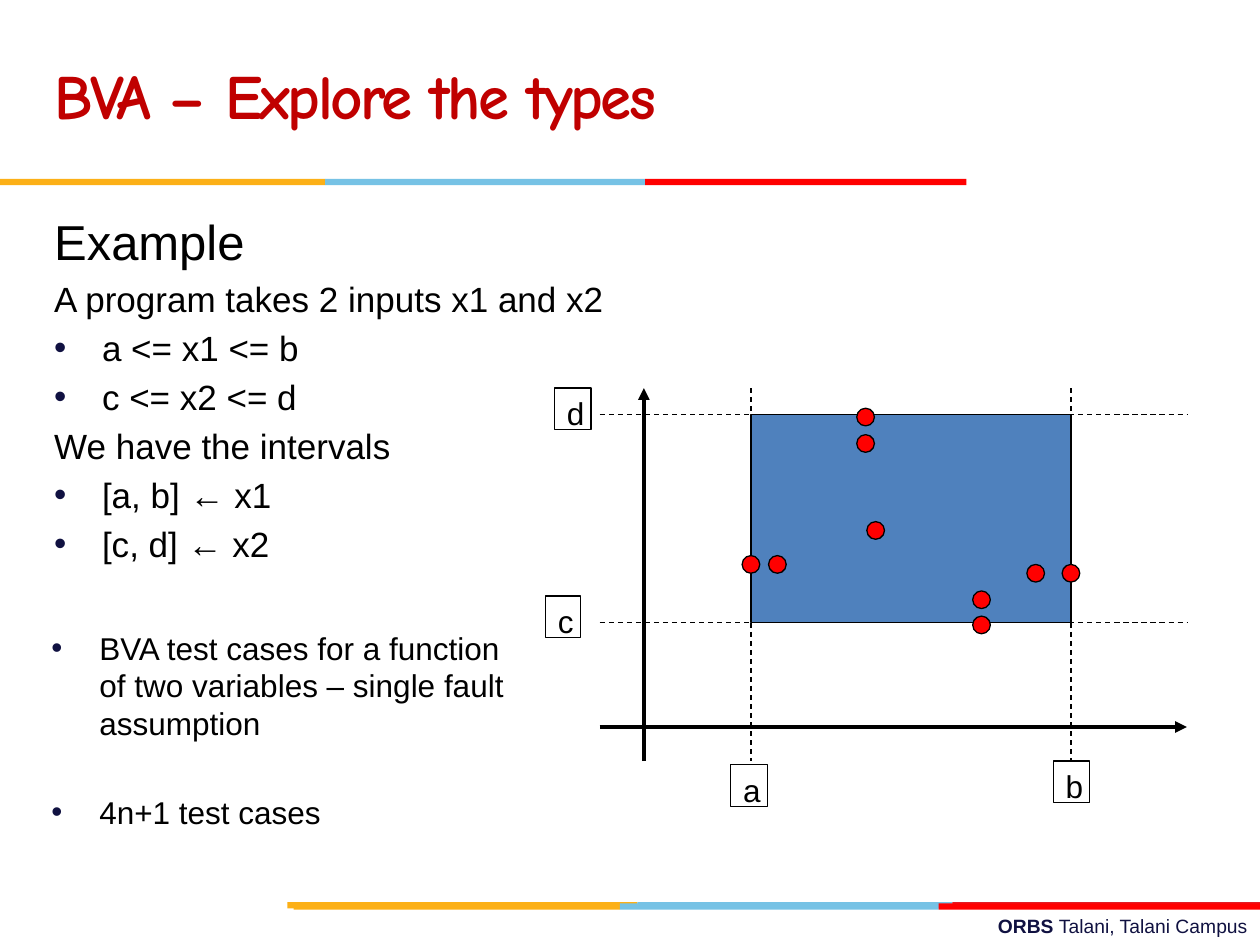
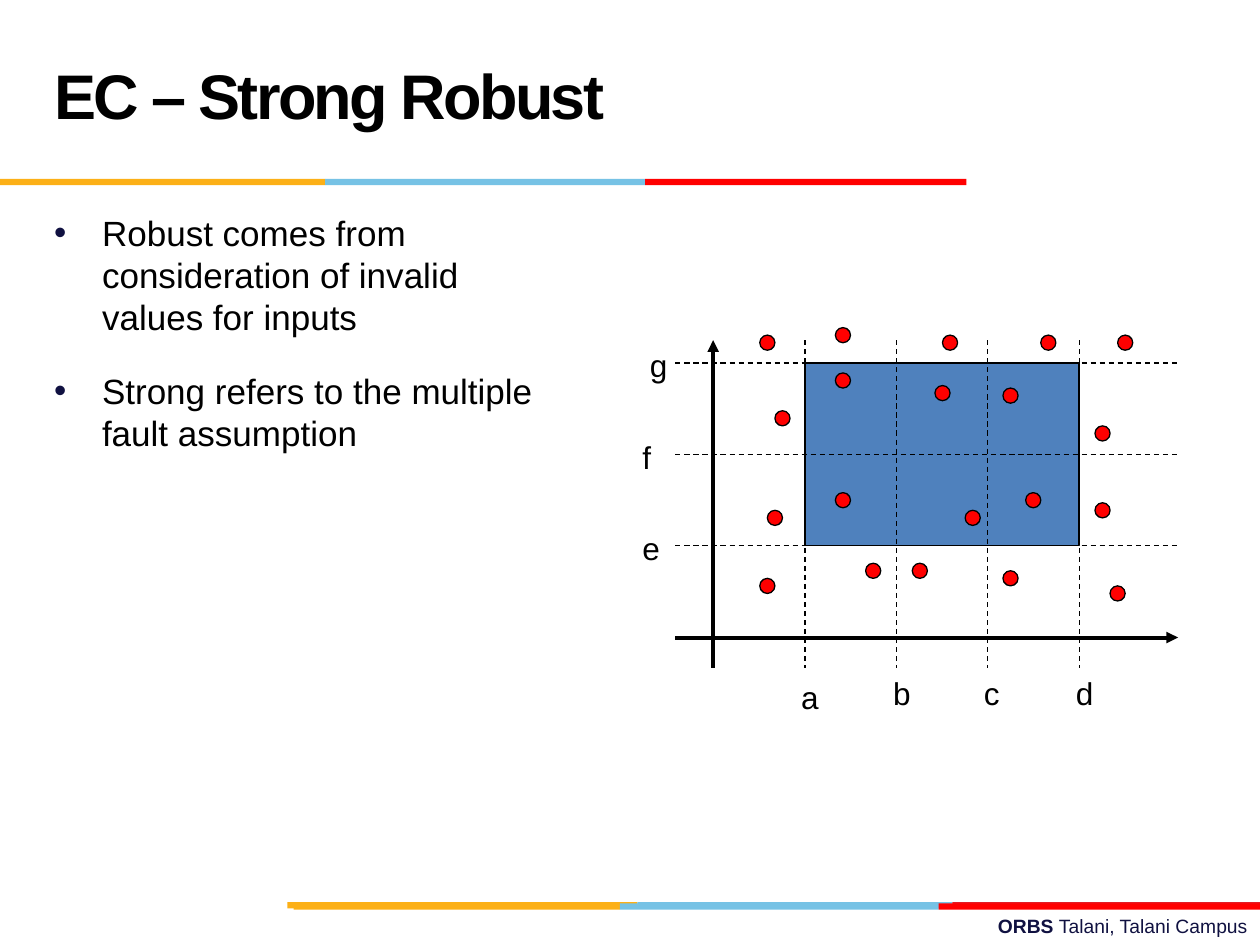
from dataclasses import dataclass
from typing import NamedTuple

import pptx
import pptx.dml.color
import pptx.enum.dml
import pptx.enum.shapes
import pptx.enum.text
import pptx.oxml.ns
import pptx.util
from lxml import etree

Inches, Pt = pptx.util.Inches, pptx.util.Pt
RGB = pptx.dml.color.RGBColor.from_string
Shapes = pptx.enum.shapes.MSO_SHAPE
Anchor = pptx.enum.text.MSO_ANCHOR
Align = pptx.enum.text.PP_ALIGN
qn = pptx.oxml.ns.qn


@dataclass(frozen=True)
class Theme:
    font: str = "Arial"
    hand_font: str = "Comic Neue"
    ink: str = "000000"
    navy: str = "101141"
    amber: str = "FCB017"
    sky: str = "76C2E5"
    red: str = "FF0000"
    brick: str = "E31C24"
    crimson: str = "C00000"
    area: str = "4F81BD"
    title: int = 36
    heading: int = 28
    body: int = 20
    note: int = 18
    footer: int = 11
    thin: float = 0.75
    thick: float = 2.25
    hanging: float = 0.38


T = Theme()


class BandRow(NamedTuple):
    """Amber, sky and red bars that meet at the given edges."""
    top: float
    edges: tuple[float, ...]
    red: str = T.red


class Item(NamedTuple):
    text: str
    bullet: bool = True
    size: int = T.body
    before: float | None = None


class Label(NamedTuple):
    text: str
    left: float
    top: float
    width: float
    height: float


@dataclass(frozen=True)
class Diagram:
    """Axes, dashed limits, the valid area between them, and test points."""
    left: float
    right: float
    top: float
    bottom: float
    axis_x: float
    axis_y: float
    xs: tuple[float, ...]
    ys: tuple[float, ...]
    labels: tuple[Label, ...]
    boxed: bool
    dot: float
    dots: tuple[tuple[float, float], ...]


BANDS = (
    BandRow(7.16, (2.28, 5.06, 7.56, 10), T.brick),
    BandRow(7.17, (2.33, 4.92, 7.45, 10)),
    BandRow(1.42, (0, 2.58, 5.12, 7.67)),
)
BAND_HEIGHT = 0.05

STEP = 0.725

BVA = Diagram(
    left=4.76, right=9.42, top=3.08, bottom=6.04, axis_x=5.11, axis_y=5.77,
    xs=(5.96, 8.5), ys=(3.29, 4.94),
    labels=(Label("a", 5.8, 6.07, 0.29, 0.33), Label("b", 8.36, 6.04, 0.29, 0.33),
            Label("c", 4.33, 4.73, 0.28, 0.33), Label("d", 4.4, 3.08, 0.29, 0.33)),
    boxed=True, dot=0.14,
    dots=((6.88, 4.14), (6.8, 3.24), (6.8, 3.45), (5.89, 4.41), (6.1, 4.41),
          (7.72, 4.89), (7.72, 4.69), (8.15, 4.48), (8.43, 4.48)),
)

STRONG_ROBUST = Diagram(
    left=5.36, right=9.35, top=2.7, bottom=5.3, axis_x=5.66, axis_y=5.06,
    xs=tuple(6.39 + STEP * i for i in range(4)),
    ys=tuple(2.88 + STEP * i for i in range(3)),
    labels=(Label("a", 6.26, 5.33, 0.25, 0.29), Label("b", 6.99, 5.3, 0.25, 0.29),
            Label("c", 7.71, 5.3, 0.25, 0.29), Label("d", 8.44, 5.3, 0.25, 0.29),
            Label("e", 5, 4.15, 0.25, 0.29), Label("f", 5, 3.43, 0.25, 0.29),
            Label("g", 5.06, 2.7, 0.25, 0.29)),
    boxed=False, dot=0.12,
    dots=((6.63, 3.91), (7.42, 3.06), (8.14, 3.91), (6.63, 2.96), (7.66, 4.05),
          (7.96, 3.08), (7.48, 2.66), (8.26, 2.66), (8.87, 2.66), (8.69, 3.38),
          (8.69, 3.99), (8.81, 4.65), (7.96, 4.53), (7.24, 4.47), (6.87, 4.47),
          (6.09, 4.05), (6.15, 3.26), (6.63, 2.6), (6.03, 2.66), (6.03, 4.59)),
)


def set_all(obj, values: dict) -> None:
    for name, value in values.items():
        setattr(obj, name, value)


def place(sp, left: float, top: float, width: float, height: float) -> None:
    set_all(sp, {"left": Inches(left), "top": Inches(top),
                 "width": Inches(width), "height": Inches(height)})


def add_run(p, text: str, size: int, color: str = T.ink, bold: bool = False,
            font: str = T.font):
    r = p.add_run()
    r.text = text
    set_all(r.font, {"name": font, "size": Pt(size), "bold": bold})
    r.font.color.rgb = RGB(color)
    return r


def add_shape(slide, kind, box: tuple, fill: str, outlined: bool = False) -> None:
    sp = slide.shapes.add_shape(kind, *map(Inches, box))
    sp.shadow.inherit = False
    sp.fill.solid()
    sp.fill.fore_color.rgb = RGB(fill)
    if outlined:
        sp.line.color.rgb = RGB(T.ink)
        sp.line.width = Pt(T.thin)
    else:
        sp.line.fill.background()


def add_line(slide, start: tuple, end: tuple, arrow: bool = False) -> None:
    """Draw a thick arrow for an axis, or a thin dashed line for a limit."""
    cx = slide.shapes.add_connector(pptx.enum.shapes.MSO_CONNECTOR.STRAIGHT,
                                    *map(Inches, start + end))
    cx.line.color.rgb = RGB(T.ink)
    cx.line.width = Pt(T.thick if arrow else T.thin)
    if arrow:
        etree.SubElement(cx.line._get_or_add_ln(), qn("a:tailEnd"), type="triangle")
    else:
        cx.line.dash_style = pptx.enum.dml.MSO_LINE.DASH
    etree.SubElement(cx._element.spPr, qn("a:effectLst"))


def add_text_box(slide, box: tuple):
    sp = slide.shapes.add_textbox(*map(Inches, box))
    sp.text_frame.word_wrap = True
    return sp


def write_items(tf, items: list[Item]) -> None:
    tf.auto_size = pptx.enum.text.MSO_AUTO_SIZE.NONE
    for i, item in enumerate(items):
        p = tf.add_paragraph() if i else tf.paragraphs[0]
        p.space_before = Pt(item.size * 0.2 if item.before is None else item.before)
        pPr = p._p.get_or_add_pPr()
        pPr.set("marL", str(Inches(T.hanging)))
        pPr.set("indent", str(-Inches(T.hanging)))
        if item.bullet:
            color = etree.SubElement(pPr, qn("a:buClr"))
            etree.SubElement(color, qn("a:srgbClr"), val=T.navy)
            etree.SubElement(pPr, qn("a:buFont"), typeface=T.font)
            etree.SubElement(pPr, qn("a:buChar"), char="•")
        else:
            etree.SubElement(pPr, qn("a:buNone"))
        add_run(p, item.text, item.size)


def add_bands_and_footer(slide) -> None:
    for row in BANDS:
        for color, left, right in zip((T.amber, T.sky, row.red), row.edges, row.edges[1:]):
            add_shape(slide, Shapes.RECTANGLE,
                      (left, row.top, right - left, BAND_HEIGHT), color)
    p = add_text_box(slide, (3.58, 7.21, 6.42, 0.29)).text_frame.paragraphs[0]
    p.alignment = Align.RIGHT
    add_run(p, "ORBS ", T.footer, T.navy, bold=True)
    add_run(p, "Talani, Talani Campus", T.footer, T.navy)


def add_slide(prs, title: str, items: list[Item], body_width: float,
              color: str = T.ink, font: str = T.font):
    slide = prs.slides.add_slide(prs.slide_layouts[1])
    add_bands_and_footer(slide)
    sp = slide.shapes.title
    place(sp, 0.33, 0.17, 6.92, 1.25)
    set_all(sp.text_frame, {"vertical_anchor": Anchor.MIDDLE, "word_wrap": True,
                            "auto_size": pptx.enum.text.MSO_AUTO_SIZE.NONE})
    p = sp.text_frame.paragraphs[0]
    set_all(p, {"alignment": Align.LEFT, "line_spacing": Pt(T.title)})
    r = add_run(p, title, T.title, color, bold=True, font=font)
    r.font._element.set("spc", "-150")
    body = slide.placeholders[1]
    place(body, 0.33, 1.63, body_width, 4.95)
    write_items(body.text_frame, items)
    return slide


def add_diagram(slide, d: Diagram) -> None:
    add_shape(slide, Shapes.RECTANGLE,
              (d.xs[0], d.ys[0], d.xs[-1] - d.xs[0], d.ys[-1] - d.ys[0]),
              T.area, outlined=True)
    add_line(slide, (d.axis_x, d.bottom), (d.axis_x, d.top), arrow=True)
    add_line(slide, (d.left, d.axis_y), (d.right, d.axis_y), arrow=True)
    for x in d.xs:
        add_line(slide, (x, d.top), (x, d.bottom))
    for y in d.ys:
        add_line(slide, (d.left, y), (d.right, y))
    for text, *box in d.labels:
        sp = add_text_box(slide, tuple(box))
        set_all(sp.text_frame, {"margin_right": 0, "margin_bottom": 0})
        add_run(sp.text_frame.paragraphs[0], text, T.note)
        if d.boxed:
            sp.line.color.rgb = RGB(T.ink)
            sp.line.width = Pt(T.thin)
    for x, y in d.dots:
        add_shape(slide, Shapes.OVAL, (x, y, d.dot, d.dot), T.red, outlined=True)


def main() -> None:
    prs = pptx.Presentation()
    set_all(prs, {"slide_width": Inches(10), "slide_height": Inches(7.5)})

    slide = add_slide(prs, "BVA – Explore the types", [
        Item("Example", bullet=False, size=T.heading),
        Item("A program takes 2 inputs x1 and x2", bullet=False),
        Item("a <= x1 <= b"),
        Item("c <= x2 <= d"),
        Item("We have the intervals", bullet=False),
        Item("[a, b] ← x1"),
        Item("[c, d] ← x2"),
    ], body_width=9, color=T.crimson, font=T.hand_font)
    add_diagram(slide, BVA)
    cases = add_text_box(slide, (0.31, 4.94, 3.82, 2.14))
    write_items(cases.text_frame, [
        Item("BVA test cases for a function of two variables – single fault assumption",
             size=T.note),
        Item("4n+1 test cases", size=T.note, before=29),
    ])

    slide = add_slide(prs, "EC – Strong Robust", [
        Item("Robust comes from consideration of invalid values for inputs", before=18),
        Item("Strong refers to the multiple fault assumption", before=18),
    ], body_width=4.08)
    add_diagram(slide, STRONG_ROBUST)

    prs.save("out.pptx")


if __name__ == "__main__":
    main()
